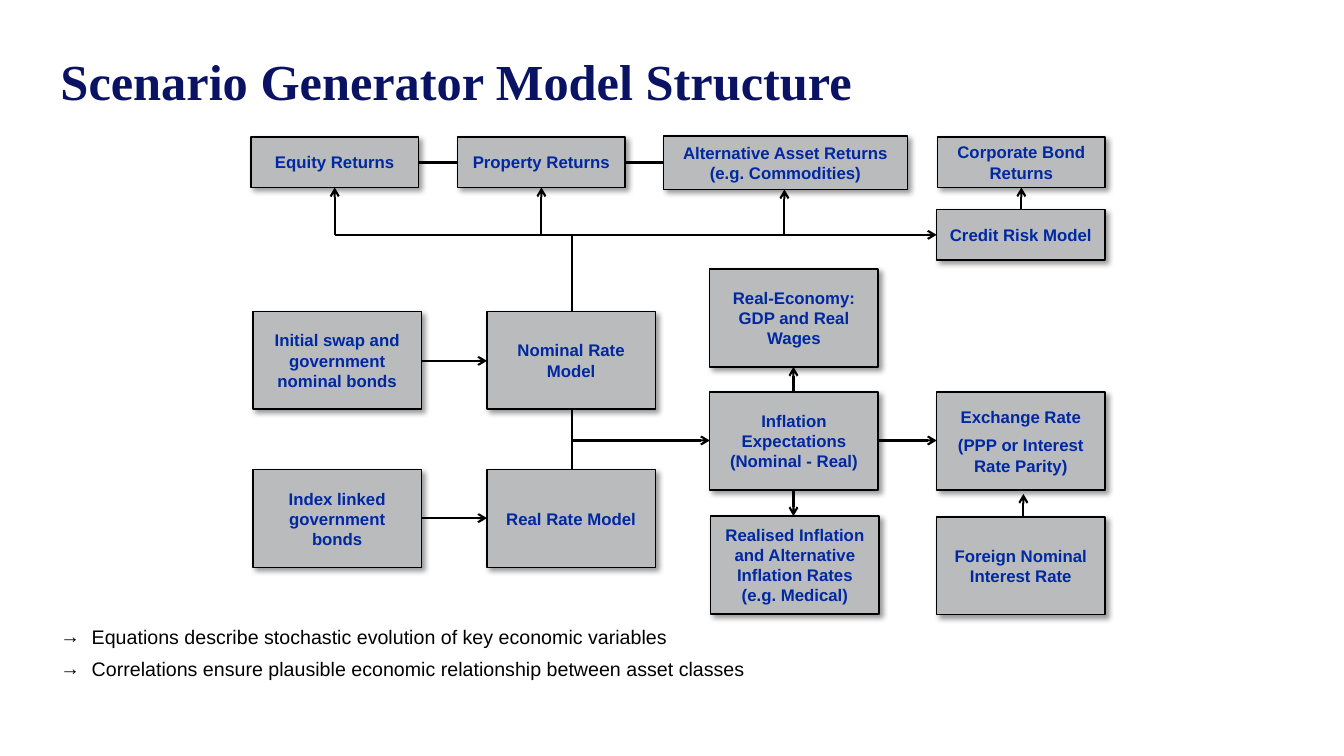
from lxml.etree import SubElement
from pptx import Presentation
from pptx.dml.color import RGBColor
from pptx.enum.shapes import MSO_CONNECTOR as Connector, MSO_SHAPE as Shape
from pptx.enum.text import MSO_ANCHOR as Anchor, PP_ALIGN as Align
from pptx.oxml.ns import qn
from pptx.util import Inches, Pt

COLORS = {"navy": "0A1264", "blue": "0028A0", "gray": "BABBBD", "black": "000000"}


def color(name):
    return RGBColor.from_string(COLORS[name])


def add_text(shape, text, size=12, font="Arial", ink="black", bold=False,
             align=Align.LEFT, anchor=Anchor.TOP, margin=None, line=None,
             before=0, after=0, bullet=None, indent=0.31):
    frame = shape.text_frame
    frame.word_wrap = True
    frame.vertical_anchor = anchor
    if margin is not None:
        frame.margin_left = frame.margin_right = Inches(margin)
        frame.margin_top = frame.margin_bottom = Inches(margin)
    for index, content in enumerate(text.split("\n")):
        paragraph = frame.paragraphs[0] if index == 0 else frame.add_paragraph()
        paragraph.text = content
        paragraph.alignment = align
        paragraph.line_spacing = line
        paragraph.space_before = Pt(before if index else 0)
        paragraph.space_after = Pt(after)
        if bullet:
            properties = paragraph._p.get_or_add_pPr()
            properties.set("marL", str(Inches(indent)))
            properties.set("indent", str(-Inches(indent)))
            SubElement(properties, qn("a:buFont"), typeface="Arial")
            SubElement(properties, qn("a:buChar"), char=bullet)
        paragraph.font.size = Pt(size)
        paragraph.font.name = font
        paragraph.font.bold = bold
        paragraph.font.color.rgb = color(ink)


presentation = Presentation()
presentation.slide_width, presentation.slide_height = Inches(13.33), Inches(7.5)
slide = presentation.slides.add_slide(presentation.slide_layouts[6])

# Title and closing points
title = slide.shapes.add_textbox(Inches(0.6), Inches(0.6), Inches(12.32), Inches(0.54))
add_text(title, "Scenario Generator Model Structure", size=36, font="Times New Roman",
         ink="navy", bold=True, margin=0, line=Pt(36))

points = slide.shapes.add_textbox(Inches(0.6), Inches(6.2), Inches(12.32), Inches(0.55))
add_text(points, "Equations describe stochastic evolution of key economic variables\n"
         "Correlations ensure plausible economic relationship between asset classes",
         size=14, margin=0, line=1.01, after=6, bullet="→")

# Model boxes: text, left, top, width, height
SMALL = (1.66, 0.5)
LARGE = (1.67, 0.97)
boxes = [
    ("Equity Returns", 2.49, 1.36, *SMALL),
    ("Property Returns", 4.54, 1.36, *SMALL),
    ("Alternative Asset Returns (e.g. Commodities)", 6.58, 1.35, 2.42, 0.53),
    ("Corporate Bond Returns", 9.3, 1.36, *SMALL),
    ("Credit Risk Model", 9.29, 2.08, 1.67, 0.5),
    ("Initial swap and government nominal bonds", 2.51, 3.09, *LARGE),
    ("Nominal Rate Model", 4.83, 3.09, *LARGE),
    ("Index linked government bonds", 2.51, 4.66, *LARGE),
    ("Real Rate Model", 4.83, 4.66, *LARGE),
    ("Real-Economy: GDP and Real Wages", 7.04, 2.67, *LARGE),
    ("Inflation Expectations (Nominal - Real)", 7.04, 3.89, *LARGE),
    ("Realised Inflation and Alternative Inflation Rates (e.g. Medical)", 7.05, 5.12, *LARGE),
    ("Exchange Rate\n(PPP or Interest Rate Parity)", 9.29, 3.89, *LARGE),
    ("Foreign Nominal Interest Rate", 9.29, 5.13, *LARGE),
]
for text, *place in boxes:
    box = slide.shapes.add_shape(Shape.RECTANGLE, *[Inches(value) for value in place])
    box.fill.solid()
    box.fill.fore_color.rgb = color("gray")
    box.line.color.rgb = color("black")
    box.line.width = Pt(1)
    box.shadow.inherit = False
    effects = box._element.spPr.find(qn("a:effectLst"))
    shadow = SubElement(effects, qn("a:outerShdw"), blurRad=str(Pt(4)), dist=str(Pt(3)),
                        dir=str(45 * 60000), algn="tl", rotWithShape="0")
    shade = SubElement(shadow, qn("a:srgbClr"), val=COLORS["black"])
    SubElement(shade, qn("a:alpha"), val="40000")
    add_text(box, text, ink="blue", bold=True, align=Align.CENTER,
             anchor=Anchor.MIDDLE, before=6)

# Links: start x, start y, end x, end y, width in points, arrowhead at the end
BUS = 2.33
RATES = 5.67
links = [
    (4.15, 1.61, 4.54, 1.61, 1.75, False),
    (6.2, 1.61, 6.58, 1.61, 1.75, False),
    (3.32, BUS, 9.29, BUS, 1.5, True),
    (3.32, BUS, 3.32, 1.86, 1.5, True),
    (5.37, BUS, 5.37, 1.86, 1.5, True),
    (7.78, BUS, 7.78, 1.88, 1.5, True),
    (10.13, 2.08, 10.13, 1.86, 1.5, True),
    (RATES, 3.09, RATES, BUS, 1.5, False),
    (RATES, 4.66, RATES, 4.06, 1.5, False),
    (RATES, 4.37, 7.04, 4.37, 1.5, True),
    (4.18, 3.58, 4.83, 3.58, 1.5, True),
    (4.18, 5.14, 4.83, 5.14, 1.5, True),
    (7.87, 3.89, 7.87, 3.64, 1.5, True),
    (7.87, 4.86, 7.87, 5.12, 1.5, True),
    (8.71, 4.37, 9.29, 4.37, 1.5, True),
    (10.15, 5.13, 10.15, 4.9, 1.5, True),
]
for *ends, width, arrow in links:
    link = slide.shapes.add_connector(Connector.STRAIGHT, *[Inches(value) for value in ends])
    link.line.color.rgb = color("black")
    link.line.width = Pt(width)
    if arrow:
        SubElement(link.line._get_or_add_ln(), qn("a:tailEnd"), type="arrow")
    SubElement(link._element.spPr, qn("a:effectLst"))

presentation.save("out.pptx")
